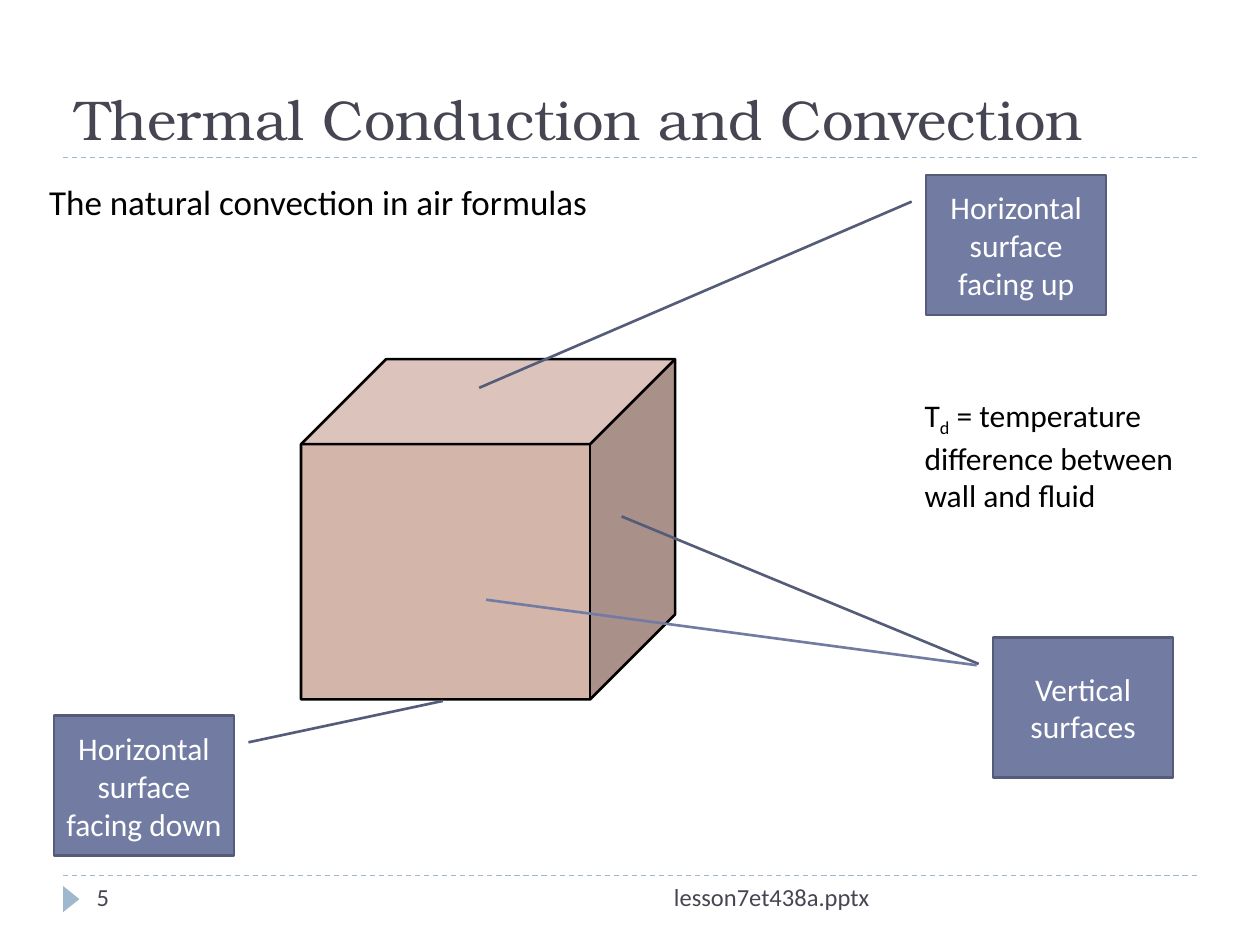
from lxml.etree import SubElement
from pptx import Presentation
from pptx.dml.color import RGBColor
from pptx.enum.dml import MSO_LINE
from pptx.enum.shapes import MSO_CONNECTOR, MSO_SHAPE
from pptx.enum.text import MSO_ANCHOR, MSO_AUTO_SIZE, PP_ALIGN
from pptx.oxml.ns import qn
from pptx.util import Cm, Pt

BODY = "Calibri"
HEAD = "TeX Gyre Bonum"
INK, PALE, BLUE, EDGE = "464653", "9FB8CD", "727CA3", "545C79"
BLACK, WHITE, CLAY = "000000", "FFFFFF", "D4B5AA"


def color(code):
    return RGBColor.from_string(code)


def place(shape, box):
    shape.left, shape.top, shape.width, shape.height = map(Cm, box)


def write(frame, runs, size, code, face=BODY, align=PP_ALIGN.LEFT):
    """Fill a frame with one paragraph of (text, baseline) runs."""
    para = frame.paragraphs[0]
    para.alignment = align
    for text, base in runs:
        run = para.add_run()
        run.text = text
        run.font.size = Pt(size)
        run.font.name = face
        run.font.color.rgb = color(code)
        if base:
            run.font._element.set("baseline", str(base))


def label(slide, box, runs, size, code, align=PP_ALIGN.LEFT, wrap=True, grow=False):
    frame = slide.shapes.add_textbox(*map(Cm, box)).text_frame
    frame.word_wrap = wrap
    if grow:
        frame.auto_size = MSO_AUTO_SIZE.SHAPE_TO_FIT_TEXT
    write(frame, runs, size, code, align=align)


def line(slide, start, end, code, width, dash=None):
    link = slide.shapes.add_connector(
        MSO_CONNECTOR.STRAIGHT, *map(Cm, start + end))
    link.line.color.rgb = color(code)
    link.line.width = Pt(width)
    if dash:
        link.line.dash_style = dash
    SubElement(link._element.spPr, qn("a:effectLst"))


def solid(slide, kind, box, fill, edge=None):
    shape = slide.shapes.add_shape(kind, *map(Cm, box))
    shape.shadow.inherit = False
    shape.fill.solid()
    shape.fill.fore_color.rgb = color(fill)
    if edge:
        shape.line.color.rgb = color(edge)
        shape.line.width = Pt(1.5)
    else:
        shape.line.fill.background()
    return shape


def callout(slide, spot, text, tip, flip=False):
    """Box at spot whose leader ends at tip, both in slide centimetres."""
    left, top = spot
    wide, high = 3.63, 2.82
    shape = solid(slide, MSO_SHAPE.LINE_CALLOUT_1, (left, top, wide, high), BLUE, EDGE)
    reach = (tip[0] - left) / wide
    if flip:
        shape._element.spPr.find(qn("a:xfrm")).set("flipH", "1")
        reach = 1 - reach
    ends = 0.19, -0.08, (tip[1] - top) / high, reach
    for i, value in enumerate(ends):
        shape.adjustments[i] = value
    frame = shape.text_frame
    frame.word_wrap = True
    frame.vertical_anchor = MSO_ANCHOR.MIDDLE
    write(frame, [(text, 0)], 18, WHITE, align=PP_ALIGN.CENTER)


def header(slide, box):
    left, top, wide, high = box
    base = top + high
    line(slide, (left, base), (left + wide, base), PALE, 0.75, MSO_LINE.DASH)
    title = slide.shapes.title
    place(title, box)
    title.text_frame.vertical_anchor = MSO_ANCHOR.BOTTOM
    write(title.text_frame, [("Thermal Conduction and Convection", 0)], 32, INK, HEAD)


def footer(slide, box):
    left, top, wide, high = box
    line(slide, (left, top), (left + wide, top), PALE, 0.75, MSO_LINE.DASH)
    mark = solid(slide, MSO_SHAPE.ISOSCELES_TRIANGLE,
                 (left - 0.1, top + 0.31, 0.53, 0.33), PALE)
    mark.rotation = 90
    label(slide, (left + 6.78, top, 9.73, high), [("lesson7et438a.pptx", 0)],
          14, INK, PP_ALIGN.RIGHT)
    label(slide, (left + 0.43, top, 5.51, high), [("5", 0)], 14, INK)


def diagram(slide, box):
    """Cube with its faces named by callouts around it."""
    left, top, wide, high = box
    solid(slide, MSO_SHAPE.CUBE, box, CLAY, BLACK)
    callout(slide, (left + 12.6, top - 3.71), "Horizontal surface facing up",
            (left + 3.59, top + 0.58))
    callout(slide, (left - 4.98, top + 7.19), "Horizontal surface facing down",
            (left + 2.86, top + high + 0.03), flip=True)
    callout(slide, (left + 13.95, top + 5.61), "Vertical surfaces",
            (left + 6.46, top + 3.17))
    line(slide, (left + 13.62, top + 6.17), (left + 3.73, top + 4.85), BLUE, 1.5)


def main():
    deck = Presentation()
    deck.slide_width, deck.slide_height = Cm(25.4), Cm(19.05)
    slide = deck.slides.add_slide(deck.slide_layouts[5])
    header(slide, (1.27, 0.64, 22.86, 2.54))
    footer(slide, (1.27, 17.65, 22.86, 1.02))
    label(slide, (0.74, 3.51, 11.48, 1.12),
          [("The natural convection in air formulas", 0)], 20, BLACK,
          wrap=False, grow=True)
    diagram(slide, (6.07, 7.24, 7.54, 6.86))
    label(slide, (18.39, 7.85, 5.99, 2.57),
          [("T", 0), ("d", -25000),
           (" = temperature difference between wall and fluid", 0)],
          18, BLACK, grow=True)
    deck.save("out.pptx")


if __name__ == "__main__":
    main()
